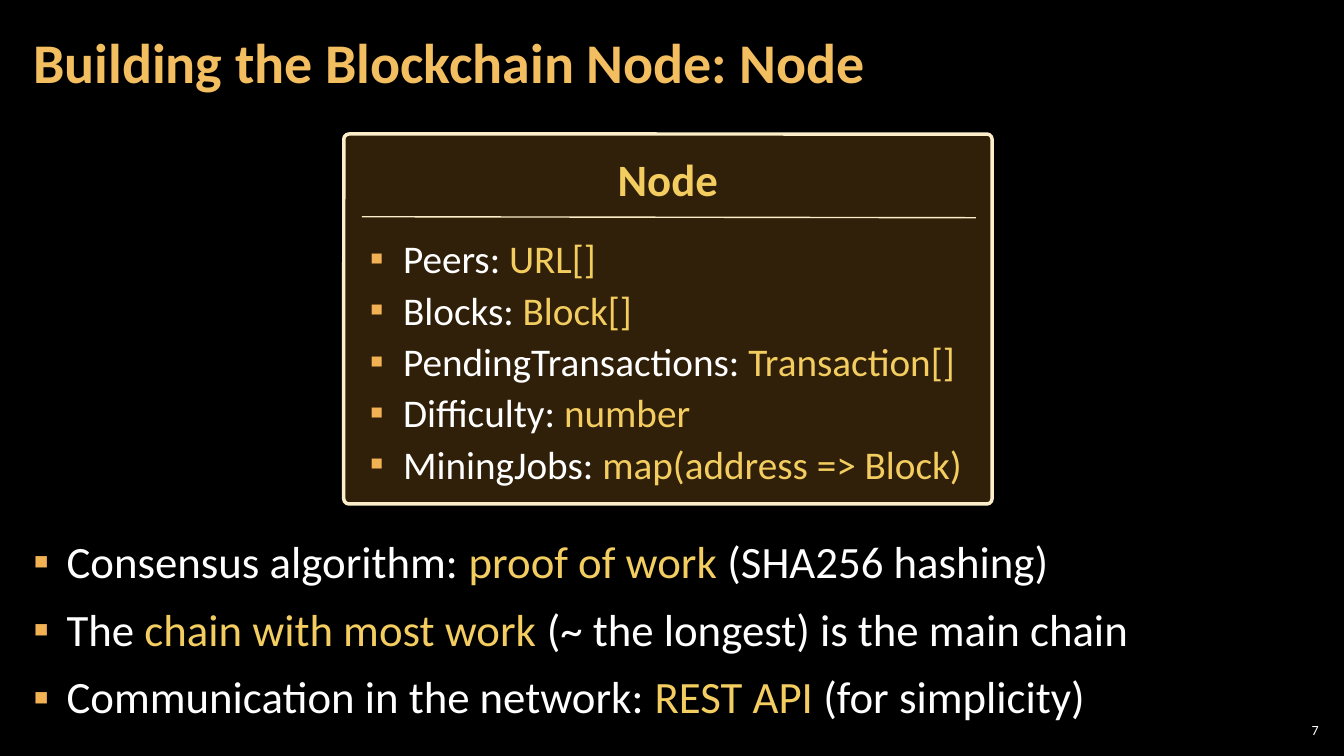
from lxml import etree
from pptx import Presentation
from pptx.dml.color import RGBColor
from pptx.enum.shapes import MSO_CONNECTOR, MSO_SHAPE
from pptx.enum.text import MSO_ANCHOR, MSO_AUTO_SIZE, PP_ALIGN
from pptx.oxml.ns import qn
from pptx.util import Inches, Pt

TOP, MIDDLE = MSO_ANCHOR.TOP, MSO_ANCHOR.MIDDLE
LEFT, CENTER, RIGHT = PP_ALIGN.LEFT, PP_ALIGN.CENTER, PP_ALIGN.RIGHT
NO_FIT = MSO_AUTO_SIZE.NONE
ROUNDED = MSO_SHAPE.ROUNDED_RECTANGLE
STRAIGHT = MSO_CONNECTOR.STRAIGHT

FONT = "Calibri"
BLACK, WHITE = "000000", "FFFFFF"
YELLOW, TITLE_GOLD = "F3CD60", "F3BE60"
BULLET_ORANGE, CARD_ORANGE, CREAM = "F2B254", "F0A22E", "FBEEC9"

NODE_FIELDS = [
    [("Peers: ", WHITE), ("URL[]", YELLOW)],
    [("Blocks: ", WHITE), ("Block[]", YELLOW)],
    [("PendingTransactions: ", WHITE), ("Transaction[]", YELLOW)],
    [("Difficulty: ", WHITE), ("number", YELLOW)],
    [("MiningJobs: ", WHITE), ("map(address => Block)", YELLOW)],
]
NETWORK_RULES = [
    [("Consensus algorithm: ", WHITE), ("proof of work ", YELLOW),
     ("(SHA256 hashing)", WHITE)],
    [("The ", WHITE), ("chain with most work ", YELLOW),
     ("(~ the longest) is the main chain", WHITE)],
    [("Communication in the network: ", WHITE), ("REST API ", YELLOW),
     ("(for simplicity)", WHITE)],
]


def rgb(color):
    return RGBColor.from_string(color)


def place(sp, left, top, width, height):
    sp.left, sp.top = Inches(left), Inches(top)
    sp.width, sp.height = Inches(width), Inches(height)


def set_frame(sp, anchor=TOP, side=0.1, edge=0.05):
    """Set wrapping, anchor and insets, and return the text frame."""
    tf = sp.text_frame
    tf.word_wrap = True
    tf.auto_size = NO_FIT
    tf.vertical_anchor = anchor
    tf.margin_left = tf.margin_right = Inches(side)
    tf.margin_top = tf.margin_bottom = Inches(edge)
    return tf


def format_run(r, size, color, bold=False):
    r.font.name, r.font.size, r.font.bold = FONT, Pt(size), bold
    r.font.color.rgb = rgb(color)


def set_line(tf, text, size, color, bold=False, align=LEFT, spacing=1.0):
    """Fill the frame with one formatted paragraph."""
    tf.text = text
    p = tf.paragraphs[0]
    p.alignment, p.line_spacing = align, spacing
    format_run(p.runs[0], size, color, bold)


def add_bullet(p):
    pPr = p._p.get_or_add_pPr()
    indent = Inches(0.33)
    pPr.set("marL", str(indent))
    pPr.set("indent", str(-indent))
    bu_color = etree.SubElement(pPr, qn("a:buClr"))
    etree.SubElement(bu_color, qn("a:srgbClr"), val=BULLET_ORANGE)
    etree.SubElement(pPr, qn("a:buFont"), typeface=FONT)
    etree.SubElement(pPr, qn("a:buChar"), char="▪")


def set_list(tf, items, size, before, after=0, spacing=1.0):
    for i, parts in enumerate(items):
        p = tf.add_paragraph() if i else tf.paragraphs[0]
        p.alignment, p.line_spacing = LEFT, spacing
        p.space_before, p.space_after = Pt(before), Pt(after)
        add_bullet(p)
        for text, color in parts:
            r = p.add_run()
            r.text = text
            format_run(r, size, color)


def add_text_box(s, left, top, width, height):
    return s.shapes.add_textbox(
        Inches(left), Inches(top), Inches(width), Inches(height))


def add_card(s, left, top, width, height, heading):
    sp = s.shapes.add_shape(
        ROUNDED, Inches(left), Inches(top), Inches(width), Inches(height))
    sp.adjustments[0] = 0.014
    sp.shadow.inherit = False
    sp.fill.solid()
    sp.fill.fore_color.rgb = rgb(CARD_ORANGE)
    fill_color = sp._element.spPr.find(qn("a:solidFill")).find(qn("a:srgbClr"))
    etree.SubElement(fill_color, qn("a:alpha"), val="20000")
    sp.line.color.rgb = rgb(CREAM)
    sp.line.width = Pt(2.5)
    set_line(set_frame(sp), heading, 32, YELLOW, True, CENTER, 1.2)


def add_rule(s, x1, y1, x2, y2):
    line = s.shapes.add_connector(
        STRAIGHT, Inches(x1), Inches(y1), Inches(x2), Inches(y2))
    line.line.color.rgb = rgb(CREAM)
    line.line.width = Pt(1)
    etree.SubElement(line._element.spPr, qn("a:effectLst"))


def main():
    prs = Presentation()
    prs.slide_width, prs.slide_height = Inches(13.33), Inches(7.5)
    s = prs.slides.add_slide(prs.slide_layouts[1])
    s.background.fill.solid()
    s.background.fill.fore_color.rgb = rgb(BLACK)

    title, body = s.shapes.title, s.placeholders[1]
    place(title, 0.21, 0.04, 10.47, 1.21)
    set_line(set_frame(title, MIDDLE, 0.12, 0.04),
             "Building the Blockchain Node: Node", 40, TITLE_GOLD, True,
             spacing=0.9)
    place(body, 0.21, 5.29, 12.91, 1.96)
    set_list(set_frame(body, TOP, 0.12, 0.04), NETWORK_RULES, 32, 6, 6, 0.95)

    add_card(s, 3.41, 1.33, 6.43, 3.67, "Node")
    add_rule(s, 3.59, 2.15, 9.68, 2.16)
    fields = add_text_box(s, 3.57, 2.28, 6.34, 2.63)
    set_list(set_frame(fields), NODE_FIELDS, 28, 3)

    number = add_text_box(s, 12.65, 7.14, 0.47, 0.21)
    set_line(set_frame(number, MIDDLE, 0.04, 0.04), "7", 10, WHITE,
             align=RIGHT)
    prs.save("out.pptx")


if __name__ == "__main__":
    main()
